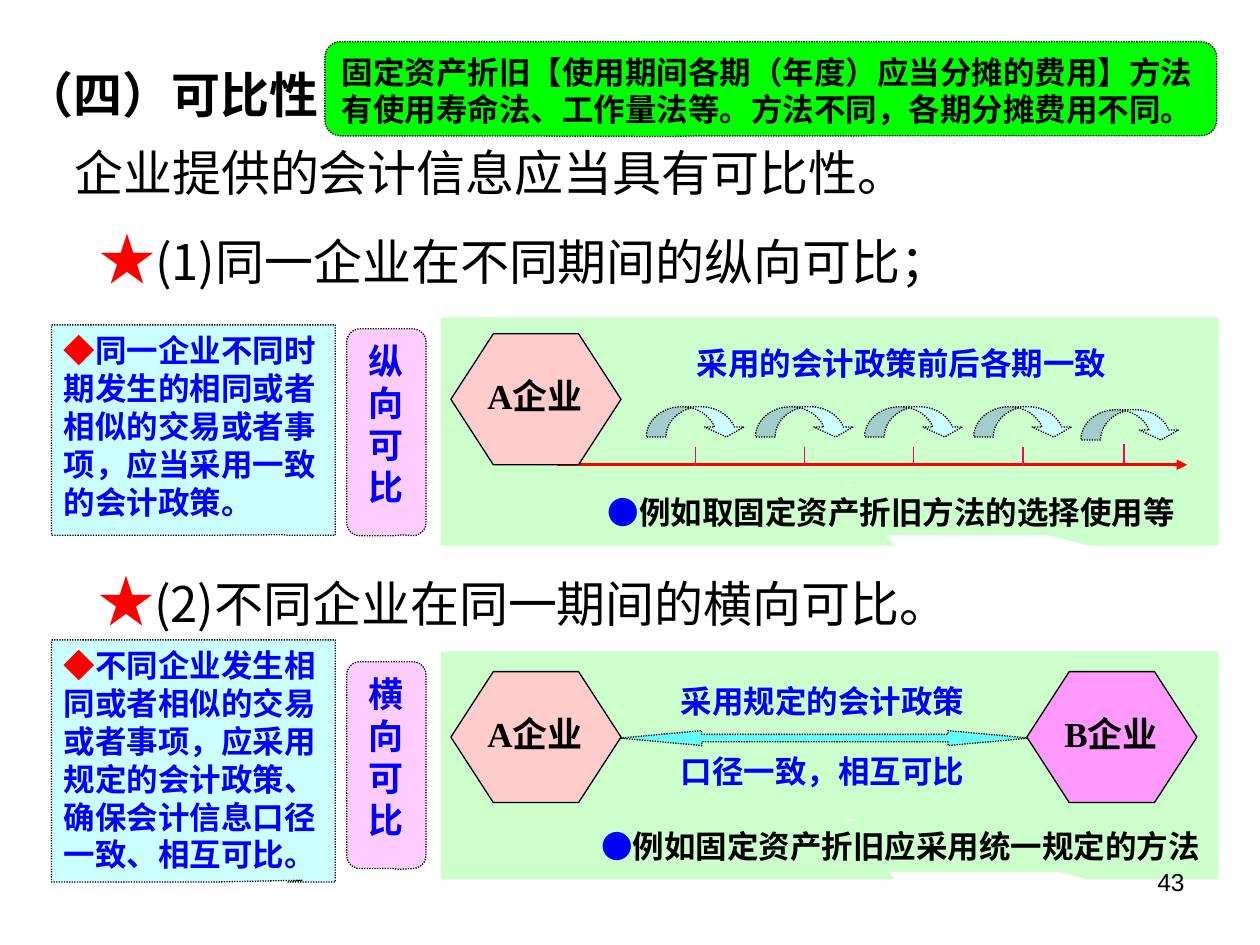
from lxml import etree
from pptx import Presentation
from pptx.dml.color import RGBColor
from pptx.enum.dml import MSO_LINE
from pptx.enum.shapes import MSO_CONNECTOR, MSO_SHAPE
from pptx.enum.text import MSO_ANCHOR, PP_ALIGN
from pptx.oxml.ns import qn
from pptx.util import Cm, Pt

DOTTED = MSO_LINE.ROUND_DOT
STRAIGHT = MSO_CONNECTOR.STRAIGHT
RECT_CALLOUT = MSO_SHAPE.RECTANGULAR_CALLOUT
ROUND_CALLOUT = MSO_SHAPE.ROUNDED_RECTANGULAR_CALLOUT
HEXAGON = MSO_SHAPE.HEXAGON
CURVED_ARROW = MSO_SHAPE.CURVED_DOWN_ARROW
TWO_WAY_ARROW = MSO_SHAPE.LEFT_RIGHT_ARROW
TOP = MSO_ANCHOR.TOP
LEFT, CENTER, RIGHT = PP_ALIGN.LEFT, PP_ALIGN.CENTER, PP_ALIGN.RIGHT

CJK = "Noto Sans CJK SC"
SERIF = "Times New Roman"
SANS = "Arial"
COLORS = {
    "black": "000000", "red": "FF0000", "blue": "0000FF", "tick": "FF0066",
    "note": "CCFFFF", "pill": "FFCCFF", "panel": "CCFFCC", "firm_a": "FFCCCC",
    "firm_b": "FF99FF", "two_way": "66FFFF", "tip": "00FF00",
}
FRAME = {
    "word_wrap": True, "vertical_anchor": TOP,
    "margin_left": Cm(0.25), "margin_right": Cm(0.25),
    "margin_top": Cm(0.13), "margin_bottom": Cm(0.13),
}


def rgb(name):
    """Return a palette colour."""
    return RGBColor.from_string(COLORS[name])


def set_format(target, values):
    """Set every attribute in values on target."""
    for name, value in values.items():
        setattr(target, name, value)


def add_run(p, text, size=18, color="black", bold=True, font=SERIF):
    """Append one formatted run to a paragraph."""
    r = p.add_run()
    r.text = text
    set_format(r.font, {"size": Pt(size), "bold": bold, "name": font})
    r.font.color.rgb = rgb(color)
    etree.SubElement(r.font._element, qn("a:ea")).set("typeface", CJK)


def write(sp, paragraphs, align=LEFT, pitch=18, **frame):
    """Fill a shape with paragraphs, each a list of run dicts."""
    tf = sp.text_frame
    set_format(tf, {**FRAME, **frame})
    for i, runs in enumerate(paragraphs):
        p = tf.add_paragraph() if i else tf.paragraphs[0]
        set_format(p, {"alignment": align, "line_spacing": Pt(1.2 * pitch)})
        for run in runs:
            add_run(p, **run)
    return tf


def add_text(s, box, paragraphs, **layout):
    """Add a text box."""
    return write(s.shapes.add_textbox(*map(Cm, box)), paragraphs, **layout)


def add_shape(s, kind, box, fill, adj, line=True, dash=DOTTED):
    """Add a filled preset shape."""
    sp = s.shapes.add_shape(kind, *map(Cm, box))
    sp.shadow.inherit = False
    for i, value in enumerate(adj):
        sp.adjustments[i] = value
    sp.fill.solid()
    sp.fill.fore_color.rgb = rgb(fill)
    if line:
        sp.line.color.rgb = rgb("black")
        set_format(sp.line, {"width": Pt(0.75), "dash_style": dash})
    else:
        sp.line.fill.background()
    return sp


def add_line(s, ends, color, width, arrow=False):
    """Add a straight line, with an optional arrowhead at its end."""
    cn = s.shapes.add_connector(STRAIGHT, *map(Cm, ends))
    cn.line.color.rgb = rgb(color)
    cn.line.width = Pt(width)
    if arrow:
        etree.SubElement(cn.line._get_or_add_ln(), qn("a:tailEnd")).set("type", "triangle")
    etree.SubElement(cn._element.spPr, qn("a:effectLst"))


def add_heading(s, x, y, text):
    """Add a starred heading line."""
    add_text(s, (x, y, 22.8, 1.6), [[
        {"text": "★", "size": 32, "color": "red", "font": CJK},
        {"text": text, "size": 28, "bold": False, "font": CJK}]], pitch=32)


def add_note(s, y, height, adj, text):
    """Add the blue explanation box on the left."""
    sp = add_shape(s, RECT_CALLOUT, (1.04, y, 5.72, height), "note", adj)
    write(sp, [[{"text": "◆", "color": "red", "bold": False},
                {"text": text, "color": "blue", "font": CJK}]])


def add_pill(s, y, adj, text):
    """Add a narrow rounded label."""
    sp = add_shape(s, ROUND_CALLOUT, (6.99, y, 1.6, 4.17), "pill", adj)
    write(sp, [[{"text": text, "size": 20, "color": "blue"}]], align=CENTER, pitch=20)


def add_panel(s, y):
    """Add the green background of a diagram."""
    add_shape(s, RECT_CALLOUT, (8.89, y, 15.67, 4.6), "panel", (0.02, 0.229), line=False)


def add_example(s, box, adj, text):
    """Add the bulleted example line of a diagram."""
    sp = add_shape(s, RECT_CALLOUT, box, "panel", adj, line=False)
    write(sp, [[{"text": "●", "color": "blue"}, {"text": text}]], margin_left=Cm(0.41))


def add_policy(s, box, text):
    """Add a blue policy label."""
    add_text(s, box, [[{"text": text, "color": "blue"}]], margin_left=Cm(0.41))


def add_firm(s, x, y, fill, text):
    """Add a hexagon with the name of a firm."""
    add_shape(s, HEXAGON, (x, y, 3.43, 2.64), fill, (0.324,), dash=None)
    add_text(s, (x + 0.43, y + 0.69, 2.54, 1.22), [[{"text": text, "size": 20}]],
             align=CENTER, pitch=20)


def add_title(s):
    """Add the title and its opening sentence."""
    tf = add_text(s, (0.25, 1.17, 22.4, 3.4), [
        [{"text": "（四）可比性", "size": 28, "font": CJK}],
        [{"text": "企业提供的会计信息应当具有可比性。", "size": 28, "bold": False, "font": CJK}],
    ], pitch=28)
    p = tf.paragraphs[1]
    p.space_before = Pt(11)
    p._p.get_or_add_pPr().set("indent", str(Cm(1)))


def add_timeline(s):
    """Add the time axis with its ticks and curved arrows."""
    add_line(s, (11.23, 9.37, 23.93, 9.37), "red", 1.5, arrow=True)
    steps = [(14.02 + 2.2 * i, 13.03 + 2.2 * i, 0) for i in range(4)]
    for tick, arc, shift in steps + [(22.66, 21.79, 0.06)]:
        add_line(s, (tick, 9.02 - shift, tick, 9.4 - shift), "tick", 0.75)
        add_shape(s, CURVED_ARROW, (arc, 8.2 + shift, 2.01, 0.61), "note", (0.65, 1.3, 0.33))


def add_over_time(s):
    """Add the part on comparability over time."""
    add_heading(s, 1.75, 4.4, "(1)同一企业在不同期间的纵向可比；")
    add_note(s, 6.55, 4.24, (0.315, 0.498),
             "同一企业不同时期发生的相同或者相似的交易或者事项，应当采用一致的会计政策。")
    add_pill(s, 6.63, (0.203, 0.496, 0.167), "纵向可比")
    add_panel(s, 6.4)
    add_example(s, (11.84, 9.8, 12.29, 0.99), (-0.136, -0.371),
                "例如取固定资产折旧方法的选择使用等")
    add_policy(s, (13.64, 6.81, 8.99, 0.99), "采用的会计政策前后各期一致")
    add_timeline(s)
    add_firm(s, 9.09, 6.73, "firm_a", "A企业")


def add_across_firms(s):
    """Add the part on comparability across firms."""
    add_note(s, 12.9, 4.88, (0.385, 0.493),
             "不同企业发生相同或者相似的交易或者事项，应采用规定的会计政策、"
             "确保会计信息口径一致、相互可比。")
    add_heading(s, 1.73, 11.3, "(2)不同企业在同一期间的横向可比。")
    add_panel(s, 13.13)
    add_example(s, (11.71, 16.54, 12.83, 1.04), (-0.179, -0.377),
                "例如固定资产折旧应采用统一规定的方法")
    add_shape(s, TWO_WAY_ARROW, (12.5, 14.73, 8.26, 0.3), "two_way", (0.5, 5.494))
    for y, text in ((13.61, "采用规定的会计政策"), (15.04, "口径一致，相互可比")):
        add_policy(s, (13.31, y, 7.01, 0.99), text)
    add_firm(s, 20.7, 13.54, "firm_b", "B企业")
    add_firm(s, 9.09, 13.54, "firm_a", "A企业")
    add_pill(s, 13.34, (0.158, 0.504, 0.167), "横向可比")


def main():
    """Build and save the slide."""
    prs = Presentation()
    prs.slide_width, prs.slide_height = Cm(25.4), Cm(19.05)
    s = prs.slides.add_slide(prs.slide_layouts[6])
    add_title(s)
    add_over_time(s)
    add_across_firms(s)
    tip = add_shape(s, ROUND_CALLOUT, (6.55, 0.84, 17.98, 1.9), "tip", (-0.112, 0.507, 0.167))
    write(tip, [[{"text": "固定资产折旧【使用期间各期（年度）应当分摊的费用】方法"
                          "有使用寿命法、工作量法等。方法不同，各期分摊费用不同。", "font": SANS}]])
    add_text(s, (18.21, 17.35, 5.92, 1.32),
             [[{"text": "43", "size": 14, "bold": False, "font": SANS}]], align=RIGHT, pitch=14)
    prs.save("out.pptx")


if __name__ == "__main__":
    main()
